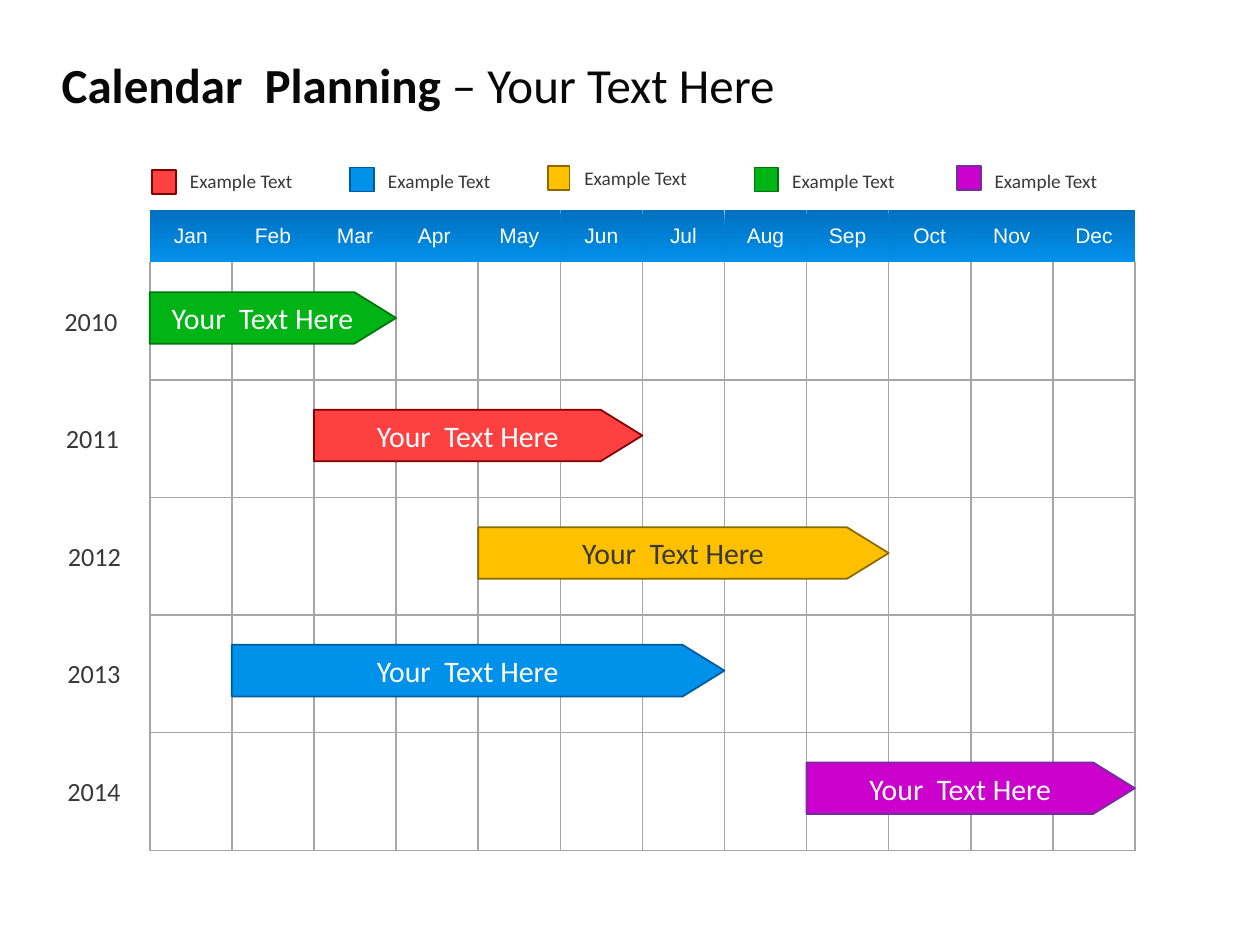
import dataclasses
import pptx
import pptx.util
import pptx.dml.color
import pptx.enum.shapes
import pptx.enum.text
import pptx.oxml
import pptx.oxml.ns

Cm = pptx.util.Cm
Pt = pptx.util.Pt
RGB = pptx.dml.color.RGBColor
Kind = pptx.enum.shapes.MSO_SHAPE
Align = pptx.enum.text.PP_ALIGN
Anchor = pptx.enum.text.MSO_ANCHOR

WHITE = RGB(0xFF, 0xFF, 0xFF)
DARK = RGB(0x38, 0x38, 0x38)
BLACK = RGB(0x08, 0x08, 0x08)
GREY = RGB(0xA6, 0xA6, 0xA6)
NAVY = RGB(0x00, 0x70, 0xC0)
BLUE = RGB(0x00, 0x91, 0xEA)
RED = RGB(0xFF, 0x40, 0x40)
GOLD = RGB(0xFF, 0xC0, 0x00)
GREEN = RGB(0x00, 0xB4, 0x15)
PURPLE = RGB(0xCC, 0x00, 0xCC)
EDGES = {
    RED: RGB(0x80, 0x00, 0x00),
    BLUE: RGB(0x00, 0x5A, 0x9E),
    GOLD: RGB(0x8A, 0x69, 0x00),
    GREEN: RGB(0x00, 0x75, 0x0E),
    PURPLE: RGB(0x70, 0x30, 0xA0),
}

MONTHS = ["Jan", "Feb", "Mar", "Apr ", "May", "Jun",
          "Jul", "Aug", "Sep", "Oct", "Nov", "Dec"]
LEFT, TOP, WIDTH = 3.02, 4.24, 19.86
HEAD, ROW = 1.05, 2.37
STEP = WIDTH / len(MONTHS)


@dataclasses.dataclass
class Plan:
    year: str
    left: float
    start: int
    span: int
    color: RGB
    ink: RGB = WHITE


@dataclasses.dataclass
class Key:
    left: float
    top: float
    color: RGB
    text_left: float
    text_top: float
    width: float = 0.48


PLANS = [
    Plan("2010", 0.64, 0, 3, GREEN),
    Plan("2011", 0.67, 2, 4, RED),
    Plan("2012", 0.71, 4, 5, GOLD, DARK),
    Plan("2013", 0.7, 1, 6, BLUE),
    Plan("2014", 0.7, 8, 4, PURPLE),
]
KEYS = [
    Key(3.07, 3.43, RED, 3.58, 3.16),
    Key(7.06, 3.38, BLUE, 7.57, 3.15),
    Key(11.05, 3.35, GOLD, 11.53, 3.1, 0.43),
    Key(15.21, 3.38, GREEN, 15.72, 3.15),
    Key(19.3, 3.35, PURPLE, 19.8, 3.15),
]


def write(frame, text: str, size: int, ink: RGB, align=Align.CENTER, font: str = "Calibri") -> None:
    line = frame.paragraphs[0]
    line.text = text
    line.alignment = align
    line.font.size = Pt(size)
    line.font.name = font
    line.font.color.rgb = ink


def label(slide, text: str, left: float, top: float, width: float, height: float,
          size: int, align) -> None:
    frame = slide.shapes.add_textbox(Cm(left), Cm(top), Cm(width), Cm(height)).text_frame
    frame.word_wrap = True
    frame.vertical_anchor = Anchor.MIDDLE
    frame.margin_top = Cm(0.25)
    write(frame, text, size, DARK, align)


def block(slide, kind, left: float, top: float, width: float, height: float, color: RGB):
    shape = slide.shapes.add_shape(kind, Cm(left), Cm(top), Cm(width), Cm(height))
    shape.shadow.inherit = False
    shape.fill.solid()
    shape.fill.fore_color.rgb = color
    shape.line.color.rgb = EDGES[color]
    shape.line.width = Pt(1)
    return shape


def border(cell, sides: str) -> None:
    props = cell._tc.get_or_add_tcPr()
    for index, side in enumerate("LRTB"):
        paint = f'<a:solidFill><a:srgbClr val="{GREY}"/></a:solidFill>' if side in sides else "<a:noFill/>"
        props.insert(index, pptx.oxml.parse_xml(
            f'<a:ln{side} {pptx.oxml.ns.nsdecls("a")} w="{Pt(1)}">{paint}</a:ln{side}>'))


def calendar(slide) -> None:
    table = slide.shapes.add_table(
        len(PLANS) + 1, len(MONTHS), Cm(LEFT), Cm(TOP),
        Cm(WIDTH), Cm(HEAD + ROW * len(PLANS))).table
    table.first_row = table.horz_banding = False
    for column in table.columns:
        column.width = Cm(STEP)
    for index, row in enumerate(table.rows):
        row.height = Cm(ROW if index else HEAD)
        for cell in row.cells:
            cell.fill.background()
            border(cell, ("LRTB" if index > 1 else "LRB") if index else "")
    for cell, month in zip(table.rows[0].cells, MONTHS):
        cell.vertical_anchor = Anchor.MIDDLE
        cell.fill.gradient()
        cell.fill.gradient_angle = 270
        for stop, color in zip(cell.fill.gradient_stops, (NAVY, BLUE)):
            stop.color.rgb = color
        write(cell.text_frame, month, 12, WHITE, font="Arial")


def heading(slide) -> None:
    title = slide.shapes.title
    title.left, title.top, title.width, title.height = Cm(0.99), Cm(0.84), Cm(22.33), Cm(1.7)
    frame = title.text_frame
    frame.auto_size = pptx.enum.text.MSO_AUTO_SIZE.NONE
    frame.vertical_anchor = Anchor.MIDDLE
    write(frame, "", 28, BLACK, Align.LEFT)
    for text, bold in (("Calendar  Planning ", True), ("– Your Text Here", False)):
        run = frame.paragraphs[0].add_run()
        run.text = text
        run.font.bold = bold


def main() -> None:
    deck = pptx.Presentation()
    deck.slide_width, deck.slide_height = Cm(25.4), Cm(19.05)
    slide = deck.slides.add_slide(deck.slide_layouts[5])
    heading(slide)
    calendar(slide)
    for key in KEYS:
        block(slide, Kind.RECTANGLE, key.left, key.top, key.width, 0.48, key.color)
        label(slide, "Example Text", key.text_left, key.text_top, 2.95, 0.86, 11, Align.LEFT)
    for index, plan in enumerate(PLANS):
        top = TOP + HEAD + ROW * index + 0.6
        label(slide, plan.year, plan.left, top, 2.39, 1.02, 15, Align.CENTER)
        bar = block(slide, Kind.PENTAGON, LEFT + STEP * plan.start, top,
                    STEP * plan.span, 1.04, plan.color)
        bar.adjustments[0] = 0.81
        bar.text_frame.vertical_anchor = Anchor.MIDDLE
        write(bar.text_frame, "Your  Text Here", 17, plan.ink)
    deck.save("out.pptx")


main()
